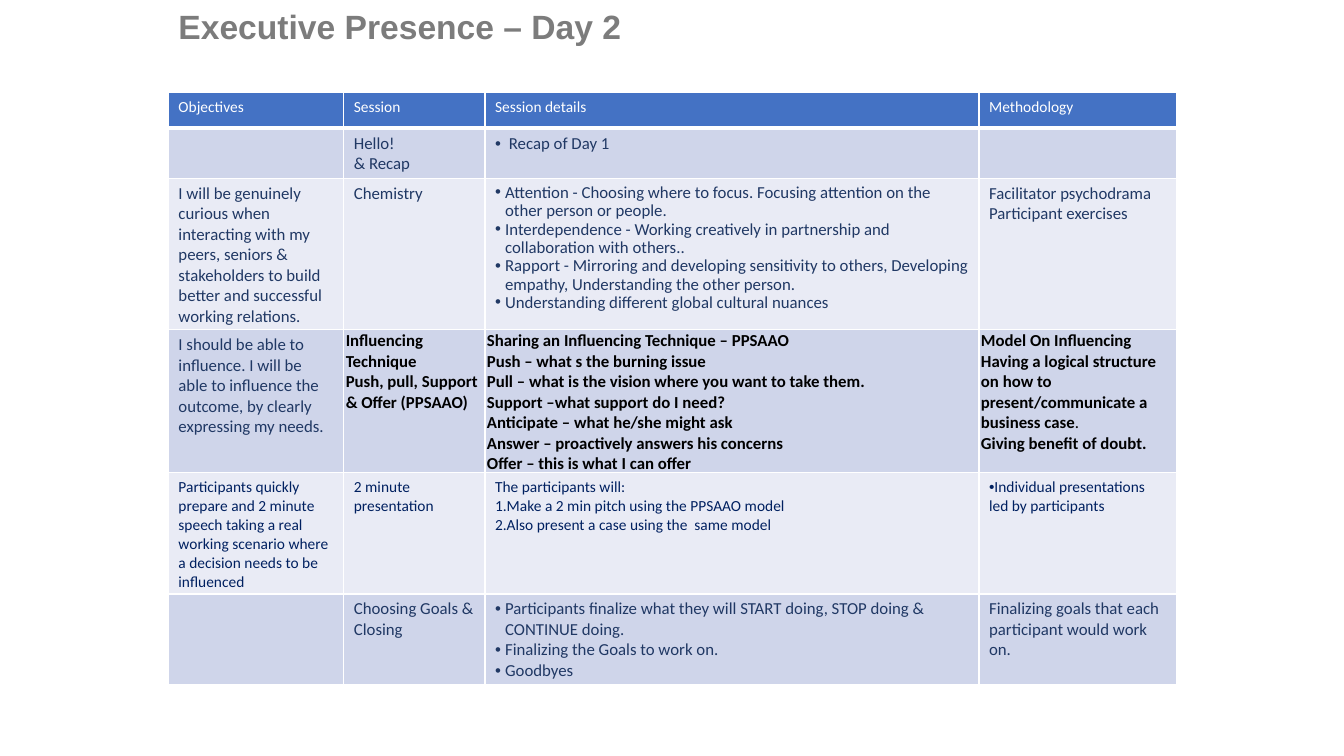
from dataclasses import dataclass

from lxml import etree
from pptx import Presentation
from pptx.dml.color import RGBColor
from pptx.enum.text import MSO_ANCHOR, MSO_AUTO_SIZE, PP_ALIGN
from pptx.oxml.ns import qn
from pptx.util import Inches, Pt

TOP = MSO_ANCHOR.TOP
LEFT = PP_ALIGN.LEFT
FIT_SHAPE = MSO_AUTO_SIZE.SHAPE_TO_FIT_TEXT
TITLE_ONLY = 5

COLORS = {
    "title": "7C7C7C",
    "header": "4472C4",
    "dark_band": "CFD5EA",
    "light_band": "E9EBF5",
    "white": "FFFFFF",
    "navy": "203864",
    "deep_navy": "002060",
    "black": "000000",
}


@dataclass
class Style:
    size: int
    color: str
    bold: bool = False
    inset_x: float = 0.1
    inset_y: float = 0.05


@dataclass
class Para:
    runs: list
    marker: str = ""
    margin: float = 0
    indent: float = 0
    spacing: float = 1.0


HEADING = Style(11, "white")
REGULAR = Style(12, "navy")
STRONG = Style(12, "black", True, 0.02, 0.01)
SMALL = Style(11, "deep_navy")


def plain(*texts):
    return [Para([text]) for text in texts]


def bullets(*texts, spacing=1.0):
    return [Para([text], "•", 0.1, -0.1, spacing) for text in texts]


def numbered(*texts):
    return [Para([text], "1.", 0, -0.25) for text in texts]


COLUMN_WIDTHS = [1.74, 1.4, 4.9, 1.96]

AGENDA = [
    (0.35, "header", [
        (HEADING, plain("Objectives")),
        (HEADING, plain("Session")),
        (HEADING, plain("Session details")),
        (HEADING, plain("Methodology")),
    ]),
    (0.5, "dark_band", [
        (REGULAR, []),
        (REGULAR, plain("Hello!", "& Recap")),
        (REGULAR, bullets(" Recap of Day 1")),
        (REGULAR, []),
    ]),
    (1.5, "light_band", [
        (REGULAR, plain(
            "I will be genuinely curious when interacting with my peers, seniors & "
            "stakeholders to build better and successful working relations.")),
        (REGULAR, plain("Chemistry")),
        (REGULAR, bullets(
            "Attention - Choosing where to focus. Focusing attention on the other person or people.",
            "Interdependence - Working creatively in partnership and collaboration with others..",
            "Rapport - Mirroring and developing sensitivity to others, Developing empathy, "
            "Understanding the other person.",
            "Understanding different global cultural nuances",
            spacing=0.9)),
        (REGULAR, plain("Facilitator psychodrama", "Participant exercises")),
    ]),
    (1.42, "dark_band", [
        (REGULAR, plain(
            "I should be able to influence. I will be able to influence the outcome, "
            "by clearly expressing my needs.")),
        (STRONG, plain("Influencing Technique", "Push, pull, Support & Offer (PPSAAO)")),
        (STRONG, plain(
            "Sharing an Influencing Technique – PPSAAO",
            "Push – what s the burning issue",
            "Pull – what is the vision where you want to take them.",
            "Support –what support do I need?",
            "Anticipate – what he/she might ask",
            "Answer – proactively answers his concerns",
            "Offer – this is what I can offer")),
        (STRONG, [
            Para(["Model On Influencing"]),
            Para(["Having a logical structure on how to present/communicate a business case",
                  (".", False)]),
            Para(["Giving benefit of doubt."]),
        ]),
    ]),
    (1.2, "light_band", [
        (SMALL, plain(
            "Participants quickly prepare and 2 minute speech taking a real working "
            "scenario where a decision needs to be influenced")),
        (SMALL, plain("2 minute presentation")),
        (SMALL, plain("The participants will:") + numbered(
            "Make a 2 min pitch using the PPSAAO model",
            "Also present a case using the  same model")),
        (SMALL, [Para(["Individual presentations led by participants"], "•")]),
    ]),
    (0.9, "dark_band", [
        (REGULAR, []),
        (REGULAR, plain("Choosing Goals & Closing")),
        (REGULAR, bullets(
            "Participants finalize what they will START doing, STOP doing & CONTINUE doing.",
            "Finalizing the Goals to work on.",
            "Goodbyes")),
        (REGULAR, plain("Finalizing goals that each participant would work on.")),
    ]),
]


def rgb(name):
    return RGBColor.from_string(COLORS[name])


def add_run(paragraph, text, font_name, size, color, bold):
    run = paragraph.add_run()
    run.text = text
    run.font.name = font_name
    run.font.size = Pt(size)
    run.font.bold = bold
    run.font.color.rgb = rgb(color)


def mark_paragraph(paragraph, para):
    properties = paragraph._p.get_or_add_pPr()
    properties.set("marL", str(Inches(para.margin)))
    properties.set("indent", str(Inches(para.indent)))
    if para.marker == "•":
        etree.SubElement(properties, qn("a:buFont"), typeface="Arial")
        etree.SubElement(properties, qn("a:buChar"), char=para.marker)
    else:
        etree.SubElement(properties, qn("a:buAutoNum"), type="arabicPeriod")


def border_cell(cell, bottom_width):
    properties = cell._tc.get_or_add_tcPr()
    for side, width in (("L", 1), ("R", 1), ("T", 1), ("B", bottom_width)):
        line = etree.SubElement(properties, qn(f"a:ln{side}"), w=str(Pt(width)))
        fill = etree.SubElement(line, qn("a:solidFill"))
        etree.SubElement(fill, qn("a:srgbClr"), val=COLORS["white"])


def fill_cell(cell, style, paras, band):
    border_cell(cell, 3 if band == "header" else 1)
    cell.fill.solid()
    cell.fill.fore_color.rgb = rgb(band)
    cell.margin_left = cell.margin_right = Inches(style.inset_x)
    cell.margin_top = cell.margin_bottom = Inches(style.inset_y)
    cell.vertical_anchor = TOP
    frame = cell.text_frame
    for index, para in enumerate(paras):
        paragraph = frame.add_paragraph() if index else frame.paragraphs[0]
        if para.marker:
            mark_paragraph(paragraph, para)
        paragraph.line_spacing = para.spacing
        for part in para.runs:
            text, bold = (part, style.bold) if isinstance(part, str) else part
            add_run(paragraph, text, "Calibri", style.size, style.color, bold)


def place_title(slide, left, top, width, height):
    heading = slide.shapes.title
    heading.left, heading.top = Inches(left), Inches(top)
    heading.width, heading.height = Inches(width), Inches(height)
    frame = heading.text_frame
    frame.word_wrap = True
    frame.auto_size = FIT_SHAPE
    frame.vertical_anchor = TOP
    frame.paragraphs[0].alignment = LEFT
    add_run(frame.paragraphs[0], "Executive Presence – Day 2", "Arial", 24, "title", True)


def place_agenda(slide, left, top, width, height):
    agenda = slide.shapes.add_table(
        len(AGENDA), len(COLUMN_WIDTHS),
        Inches(left), Inches(top), Inches(width), Inches(height)).table
    agenda.horz_banding = False
    for column, column_width in zip(agenda.columns, COLUMN_WIDTHS):
        column.width = Inches(column_width)
    for row, (row_height, band, entries) in zip(agenda.rows, AGENDA):
        row.height = Inches(row_height)
        for cell, (style, paras) in zip(row.cells, entries):
            fill_cell(cell, style, paras, band)


def main():
    deck = Presentation()
    deck.slide_width, deck.slide_height = Inches(13.33), Inches(7.5)
    slide = deck.slides.add_slide(deck.slide_layouts[TITLE_ONLY])
    place_title(slide, 1.67, 0.01, 9.42, 0.5)
    place_agenda(slide, 1.67, 0.92, 10, 5.87)
    deck.save("out.pptx")


if __name__ == "__main__":
    main()
